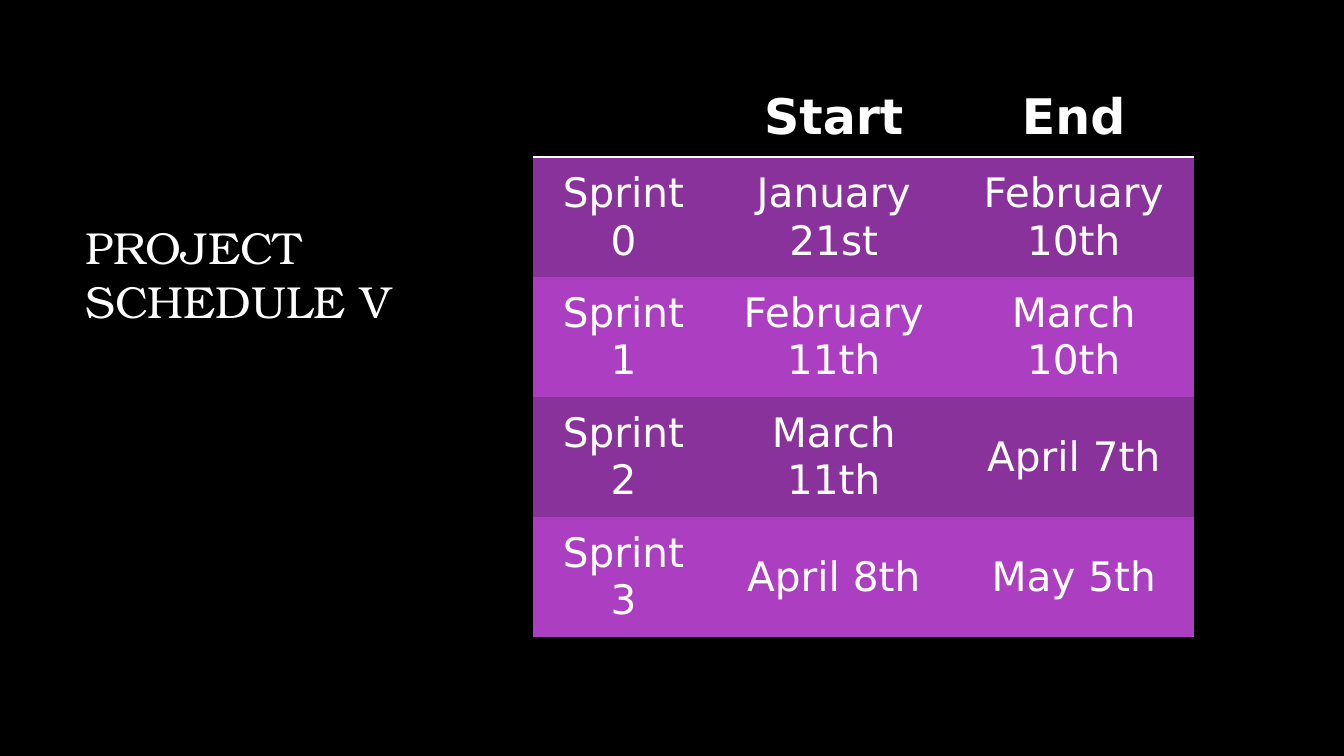
from dataclasses import dataclass
from typing import Any

from pptx import Presentation
from pptx import util as u
from pptx.dml.color import RGBColor
from pptx.enum import text
from pptx.oxml import parse_xml
from pptx.oxml.ns import nsdecls, qn


@dataclass(frozen=True)
class Theme:
    background: str = "000000"
    foreground: str = "FFFFFF"
    bands: tuple[str, str] = ("8A329B", "AC3EC1")
    title_font: str = "TeX Gyre Bonum"
    table_font: str = "DejaVu Sans"
    title_size: int = 32
    header_size: int = 35
    body_size: int = 29
    rule_width: int = 2


@dataclass(frozen=True)
class Sprint:
    name: str
    start: str
    end: str


THEME = Theme()
SPRINTS = (
    Sprint("Sprint 0", "January 21st", "February 10th"),
    Sprint("Sprint 1", "February 11th", "March 10th"),
    Sprint("Sprint 2", "March 11th", "April 7th"),
    Sprint("Sprint 3", "April 8th", "May 5th"),
)
COLUMN_WIDTHS = (1.79, 2.38, 2.38)
HEADER_HEIGHT = 0.79
SPRINT_HEIGHT = 1.19
NO_STYLE = "{2D5ABB26-0587-4C30-8999-92F81FD0307C}"
CELL_FORMAT = {
    "margin_left": u.Inches(0.15),
    "margin_right": u.Inches(0.15),
    "margin_top": u.Inches(0.07),
    "margin_bottom": u.Inches(0.07),
    "vertical_anchor": text.MSO_ANCHOR.MIDDLE,
}


def apply_format(target: Any, values: dict[str, Any]) -> None:
    for name, value in values.items():
        setattr(target, name, value)


def format_paragraph(paragraph: Any, font: str, size: int, alignment: Any, bold: bool = False) -> None:
    paragraph.alignment = alignment
    apply_format(paragraph.font, {"name": font, "size": u.Pt(size), "bold": bold})
    paragraph.font.color.rgb = RGBColor.from_string(THEME.foreground)


def add_title(slide: Any, wording: str) -> None:
    title = slide.shapes.title
    apply_format(title, {
        "left": u.Inches(0.75), "top": u.Inches(1.49),
        "width": u.Inches(4.12), "height": u.Inches(1.81),
    })
    frame = title.text_frame
    frame.text = wording
    apply_format(frame, {
        "word_wrap": True,
        "auto_size": text.MSO_AUTO_SIZE.NONE,
        "vertical_anchor": text.MSO_ANCHOR.BOTTOM,
    })
    format_paragraph(frame.paragraphs[0], THEME.title_font, THEME.title_size, text.PP_ALIGN.LEFT)


def add_bottom_rule(cell: Any) -> None:
    rule = parse_xml(
        f'<a:lnB {nsdecls("a")} w="{u.Pt(THEME.rule_width)}"><a:solidFill>'
        f'<a:srgbClr val="{THEME.foreground}"/></a:solidFill></a:lnB>'
    )
    cell._tc.get_or_add_tcPr().insert(0, rule)


def fill_cell(cell: Any, wording: str, fill: str, is_header: bool) -> None:
    cell.text = wording
    apply_format(cell, CELL_FORMAT)
    cell.fill.solid()
    cell.fill.fore_color.rgb = RGBColor.from_string(fill)
    size = THEME.header_size if is_header else THEME.body_size
    format_paragraph(cell.text_frame.paragraphs[0], THEME.table_font, size, text.PP_ALIGN.CENTER, is_header)
    if is_header:
        add_bottom_rule(cell)


def add_schedule(slide: Any, sprints: tuple[Sprint, ...]) -> None:
    rows = [("", "Start", "End")] + [(sprint.name, sprint.start, sprint.end) for sprint in sprints]
    heights = [HEADER_HEIGHT] + [SPRINT_HEIGHT] * len(sprints)
    table = slide.shapes.add_table(
        len(rows), len(COLUMN_WIDTHS), u.Inches(5.29), u.Inches(0.77),
        u.Inches(sum(COLUMN_WIDTHS)), u.Inches(sum(heights)),
    ).table
    table.horz_banding = False
    table._tbl.tblPr.find(qn("a:tableStyleId")).text = NO_STYLE
    for column, width in zip(table.columns, COLUMN_WIDTHS):
        column.width = u.Inches(width)
    for index, (row, height, wordings) in enumerate(zip(table.rows, heights, rows)):
        row.height = u.Inches(height)
        is_header = index == 0
        fill = THEME.background if is_header else THEME.bands[(index - 1) % 2]
        for cell, wording in zip(row.cells, wordings):
            fill_cell(cell, wording, fill, is_header)


def main() -> None:
    presentation = Presentation()
    apply_format(presentation, {"slide_width": u.Inches(13.33), "slide_height": u.Inches(7.5)})
    slide = presentation.slides.add_slide(presentation.slide_layouts.get_by_name("Title Only"))
    slide.background.fill.solid()
    slide.background.fill.fore_color.rgb = RGBColor.from_string(THEME.background)
    add_title(slide, "PROJECT SCHEDULE V")
    add_schedule(slide, SPRINTS)
    presentation.save("out.pptx")


if __name__ == "__main__":
    main()
